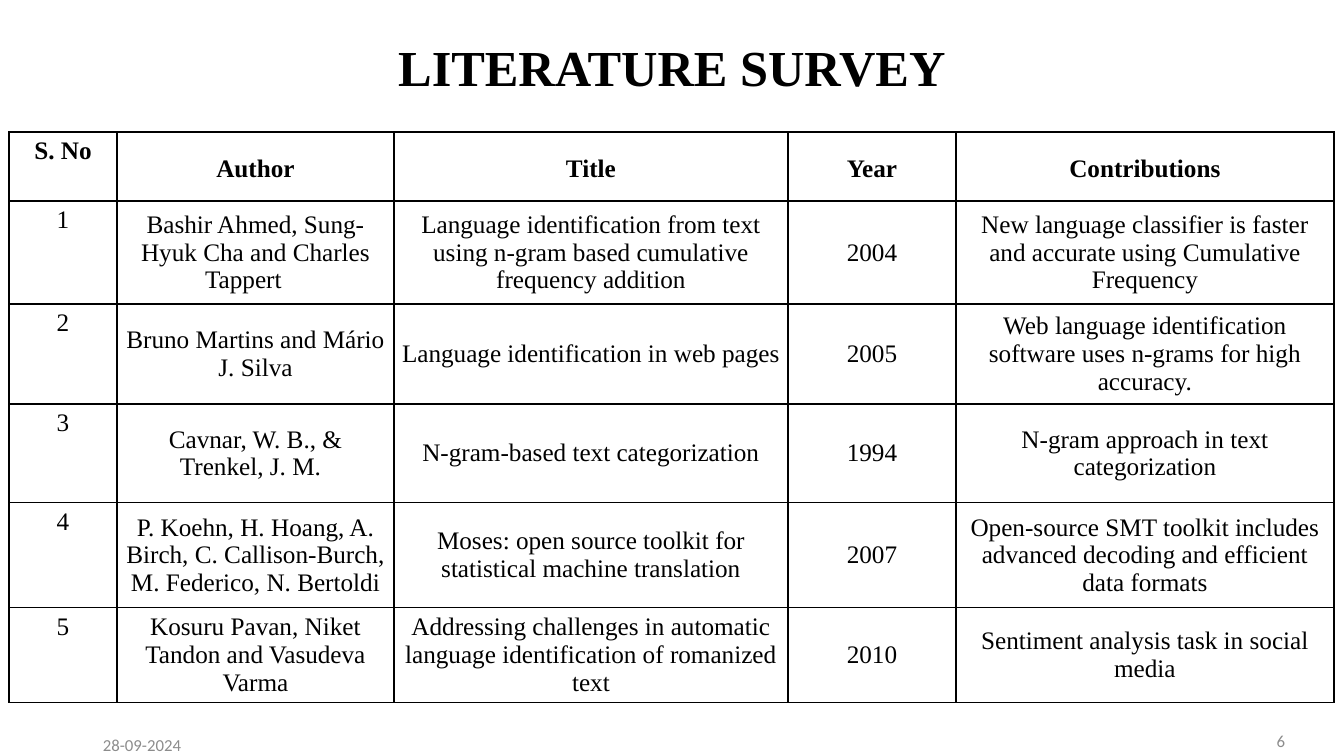
"""Build the literature survey slide with its table of papers."""
from lxml.etree import SubElement
from pptx import Presentation
from pptx.dml.color import RGBColor
from pptx.enum.text import MSO_ANCHOR as Anchor, PP_ALIGN as Align
from pptx.oxml import parse_xml
from pptx.oxml.ns import nsdecls
from pptx.util import Pt

TITLE = "LITERATURE SURVEY"
HEADINGS = ("S. No", "Author", "Title", "Year", "Contributions")
PAPERS = [
    ("Bashir Ahmed, Sung-Hyuk Cha and Charles Tappert\t",
     "Language identification from text using n-gram based cumulative frequency addition",
     "2004",
     "New language classifier is faster and accurate using Cumulative Frequency"),
    ("Bruno Martins and Mário J. Silva",
     "Language identification in web pages",
     "2005",
     "Web language identification software uses n-grams for high accuracy."),
    ("Cavnar, W. B., & Trenkel, J. M.\t",
     "N-gram-based text categorization",
     "1994",
     "N-gram approach in text categorization"),
    ("P. Koehn, H. Hoang, A. Birch, C. Callison-Burch, M. Federico, N. Bertoldi",
     "Moses: open source toolkit for statistical machine translation",
     "2007",
     "Open-source SMT toolkit includes advanced decoding and efficient data formats"),
    ("Kosuru Pavan, Niket Tandon and Vasudeva Varma",
     "Addressing challenges in automatic language identification of romanized text",
     "2010",
     "Sentiment analysis task in social media"),
]
FOOTERS = [
    ("28-09-2024", (93, 733, 302, 23), Align.LEFT),
    ("6", (950, 701, 345, 80), Align.RIGHT),
]
COLUMN_WIDTHS = (108, 277, 394, 168, 378)
ROW_HEIGHTS = (69, 103, 100, 99, 105, 95)
TABLE_LEFT, TABLE_TOP = 9, 132
SLIDE_WIDTH, SLIDE_HEIGHT, TITLE_HEIGHT = 1344, 756, 132
COLORS = {"ink": "000000", "footer": "8C8C8C"}
SERIF, SANS = "Times New Roman", "Calibri"


def px(length):
    return round(length * 914400 / 100.8)


def write(frame, text, size=18, font=SERIF, color="ink", bold=False,
          align=Align.CENTER, spacing=1.0):
    frame.word_wrap = True
    para = frame.paragraphs[0]
    para.alignment = align
    para.line_spacing = spacing
    span = para.add_run()
    span.text = text
    span.font.size = Pt(size)
    span.font.name = font
    span.font.bold = bold
    span.font.color.rgb = RGBColor.from_string(COLORS[color])


def outline(cell):
    properties = cell._tc.get_or_add_tcPr()
    for index, side in enumerate(("lnL", "lnR", "lnT", "lnB")):
        line = parse_xml(f'<a:{side} {nsdecls("a")} w="{Pt(1)}"><a:solidFill>'
                         f'<a:srgbClr val="{COLORS["ink"]}"/></a:solidFill></a:{side}>')
        properties.insert(index, line)


def add_title(page):
    title = page.shapes.title
    title.left, title.top = 0, 0
    title.width, title.height = px(SLIDE_WIDTH), px(TITLE_HEIGHT)
    title.text_frame.vertical_anchor = Anchor.MIDDLE
    write(title.text_frame, TITLE, size=36, bold=True)


def add_survey(page):
    rows = [HEADINGS] + [(str(number), *paper) for number, paper in enumerate(PAPERS, 1)]
    table = page.shapes.add_table(
        len(rows), len(HEADINGS), px(TABLE_LEFT), px(TABLE_TOP),
        px(sum(COLUMN_WIDTHS)), px(sum(ROW_HEIGHTS))).table
    table.first_row = table.horz_banding = False
    for column, width in zip(table.columns, COLUMN_WIDTHS):
        column.width = px(width)
    for row, height in zip(table.rows, ROW_HEIGHTS):
        row.height = px(height)
    for row_index, values in enumerate(rows):
        heading = row_index == 0
        for column_index, text in enumerate(values):
            cell = table.cell(row_index, column_index)
            numbered = column_index == 0
            if not numbered:
                cell.vertical_anchor = Anchor.MIDDLE
                cell.margin_left = cell.margin_right = px(8)
                cell.margin_top = cell.margin_bottom = 0
            cell.fill.background()
            outline(cell)
            write(cell.text_frame, text, bold=heading,
                  spacing=1.15 if heading and not numbered else 1.0)


def add_footers(page):
    for text, place, align in FOOTERS:
        box = page.shapes.add_textbox(*map(px, place))
        box.text_frame.vertical_anchor = Anchor.MIDDLE
        write(box.text_frame, text, size=12, font=SANS, color="footer", align=align)


def main():
    deck = Presentation()
    deck.slide_width, deck.slide_height = px(SLIDE_WIDTH), px(SLIDE_HEIGHT)
    page = deck.slides.add_slide(deck.slide_layouts[5])
    add_title(page)
    add_survey(page)
    add_footers(page)
    deck.save("out.pptx")


if __name__ == "__main__":
    main()
